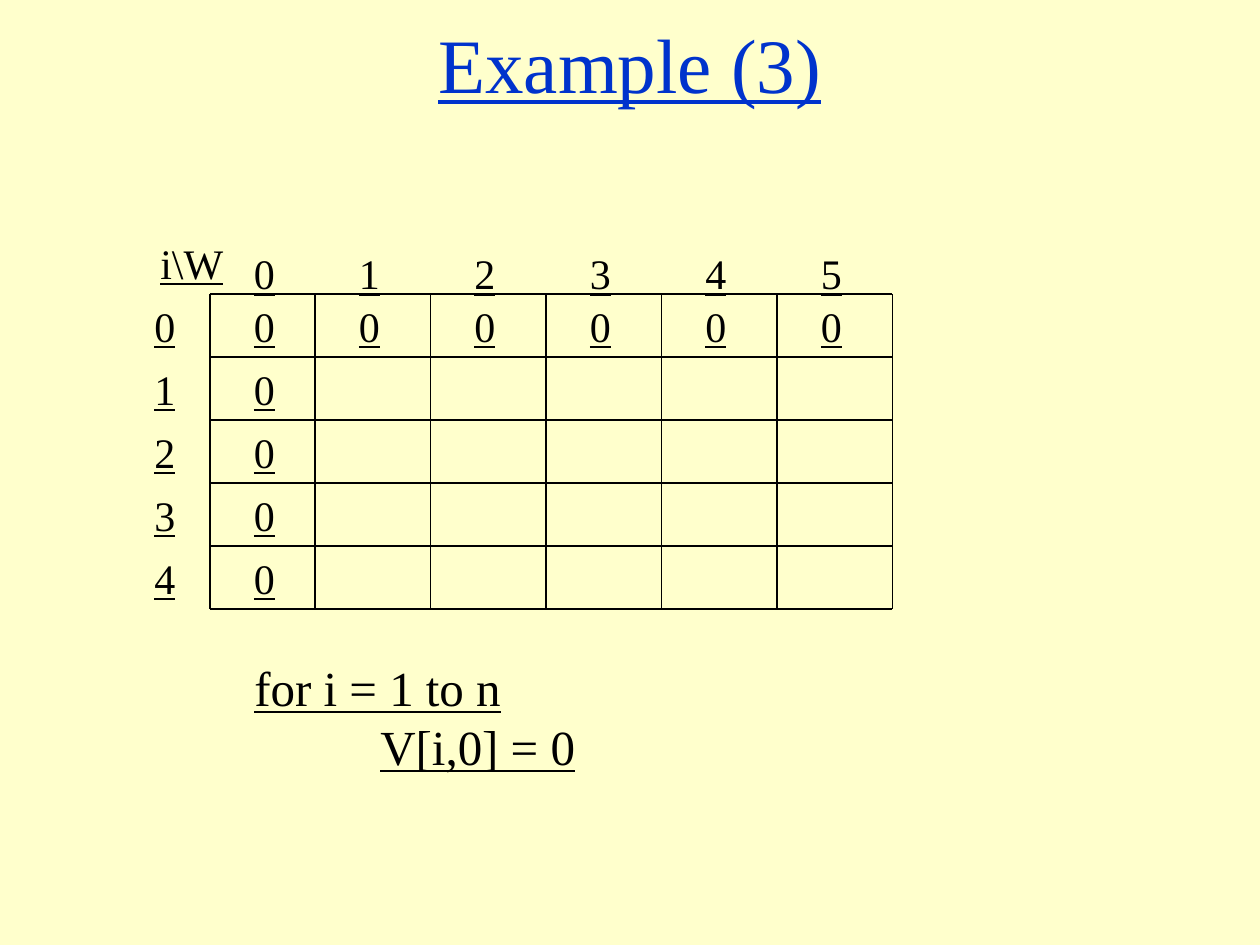
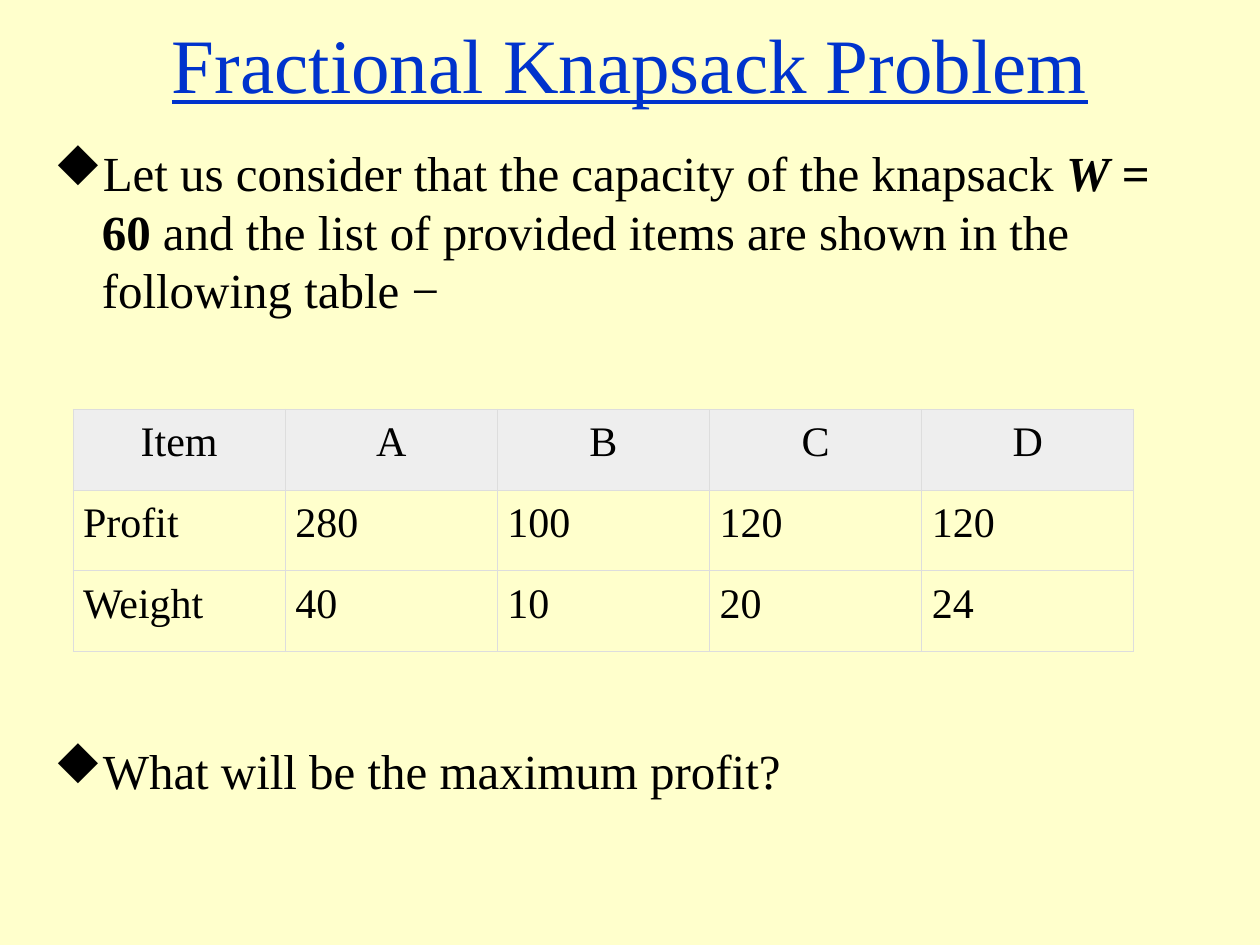
from lxml import etree
from pptx import Presentation
from pptx.dml.color import RGBColor
from pptx.enum.shapes import MSO_CONNECTOR
from pptx.enum.text import MSO_ANCHOR, PP_ALIGN
from pptx.oxml import parse_xml
from pptx.oxml.ns import nsdecls, qn
from pptx.util import Inches, Pt

FONT = "Times New Roman"
PAPER, TITLE_BLUE, INK = "FFFFCC", "0033CC", "000000"
HEADER_GREY, BORDER_GREY = "EEEEEE", "DDDDDD"


def color(code):
    return RGBColor.from_string(code)


def add_span(para, text, size, ink=INK, underline=False, bold=False, italic=False):
    span = para.add_run()
    span.text = text
    font = span.font
    font.name, font.size = FONT, Pt(size)
    font.underline, font.bold, font.italic = underline, bold, italic
    font.color.rgb = color(ink)


def add_frame(page, left, top, width, height, wrap=True):
    """Add an empty text box and return its text frame."""
    box = page.shapes.add_textbox(Inches(left), Inches(top), Inches(width), Inches(height))
    box.text_frame.word_wrap = wrap
    return box.text_frame


def add_page(deck, title):
    """Add a slide with the shared underlined title across the top."""
    page = deck.slides.add_slide(deck.slide_layouts[5])
    box = page.shapes.title
    box.left, box.top, box.width, box.height = 0, 0, deck.slide_width, Inches(1)
    box.text_frame.vertical_anchor = MSO_ANCHOR.MIDDLE
    para = box.text_frame.paragraphs[0]
    para.alignment = PP_ALIGN.CENTER
    add_span(para, title, 44, TITLE_BLUE, underline=True)
    return page


def add_rule(page, x1, y1, x2, y2):
    rule = page.shapes.add_connector(
        MSO_CONNECTOR.STRAIGHT, Inches(x1), Inches(y1), Inches(x2), Inches(y2))
    rule.line.color.rgb = color(INK)
    rule.line.width = Pt(0.75)
    etree.SubElement(rule._element.spPr, qn("a:effectLst"))


def add_digit(page, left, top, digit):
    frame = add_frame(page, left, top, 0.37, 0.5, wrap=False)
    add_span(frame.paragraphs[0], str(digit), 24, underline=True)


def add_value_grid(page, left, top, items=5, weights=6):
    """Draw the ruled grid with its labels, first row and first column filled with 0."""
    first_width, step, row_height = 10 / 12, 11 / 12, 0.5
    columns = [left] + [left + first_width + step * k for k in range(weights)]
    rows = [top + row_height * k for k in range(items + 1)]

    for x in columns:
        add_rule(page, x, rows[0], x, rows[-1])
    for y in rows:
        add_rule(page, columns[0], y, columns[-1], y)

    corner = add_frame(page, left - 0.52, top - 0.5, 0.75, 0.5).paragraphs[0]
    corner.alignment = PP_ALIGN.CENTER
    add_span(corner, "i\\W", 24, underline=True)
    for weight, x in enumerate(columns[:-1]):
        add_digit(page, x + 0.25, top - 5 / 12, weight)
        add_digit(page, x + 0.25, top, 0)
    for item, y in enumerate(rows[:-1]):
        add_digit(page, left - 0.54, y, item)
        if item:
            add_digit(page, left + 0.25, y, 0)


def set_indent(para, left, first_line=0):
    """Set the left margin of a paragraph and return its properties element."""
    props = para._p.get_or_add_pPr()
    props.set("marL", str(Inches(left)))
    props.set("indent", str(Inches(first_line)))
    return props


def add_loop_code(page, left, top, width, height):
    frame = add_frame(page, left, top, width, height)
    loop, body = frame.paragraphs[0], frame.add_paragraph()
    add_span(loop, "for i = 1 to n", 28, underline=True)
    set_indent(body, 1)
    add_span(body, "V[i,0] = 0", 28, underline=True)


def set_bullet(para, indent):
    """Give a paragraph a hanging diamond, which is the letter u in Wingdings."""
    props = set_indent(para, indent, -indent)
    bullet_font = etree.SubElement(props, qn("a:buFont"))
    bullet_font.set("typeface", "Wingdings")
    bullet_font.set("charset", "2")
    etree.SubElement(props, qn("a:buChar")).set("char", "u")


def add_question(page, left, top, width, height):
    """Add the two bullets, leaving room between them for the item table."""
    frame = add_frame(page, left, top, width, height)
    setup, question = frame.paragraphs[0], frame.add_paragraph()
    question.space_before = Pt(241)
    for para in (setup, question):
        set_bullet(para, 0.38)
    add_span(setup, "Let us consider that the capacity of the knapsack ", 28)
    add_span(setup, "W", 28, bold=True, italic=True)
    add_span(setup, " = 60", 28, bold=True)
    add_span(setup, " and the list of provided items are shown in the following table −", 28)
    add_span(question, "What will be the maximum profit?", 28)


def set_borders(cell):
    props = cell._tc.get_or_add_tcPr()
    for index, side in enumerate(("lnL", "lnR", "lnT", "lnB")):
        props.insert(index, parse_xml(
            f'<a:{side} {nsdecls("a")} w="{Pt(0.75)}"><a:solidFill>'
            f'<a:srgbClr val="{BORDER_GREY}"/></a:solidFill></a:{side}>'))


def add_item_table(page, left, top, width, height):
    rows = [
        ("Item", "A", "B", "C", "D"),
        ("Profit", "280", "100", "120", "120"),
        ("Weight", "40", "10", "20", "24"),
    ]
    table = page.shapes.add_table(
        len(rows), len(rows[0]), Inches(left), Inches(top), Inches(width), Inches(height)).table
    table.first_row = table.horz_banding = False
    for r, row in enumerate(rows):
        for c, text in enumerate(row):
            cell = table.cell(r, c)
            cell.margin_left = cell.margin_right = Inches(0.08)
            cell.margin_top = cell.margin_bottom = Inches(0.08)
            para = cell.text_frame.paragraphs[0]
            if r == 0:
                cell.fill.solid()
                cell.fill.fore_color.rgb = color(HEADER_GREY)
                para.alignment = PP_ALIGN.CENTER
            else:
                cell.fill.background()
            set_borders(cell)
            add_span(para, text, 24)


def main():
    deck = Presentation()
    deck.slide_width, deck.slide_height = Inches(10), Inches(7.5)
    backdrop = deck.slide_master.background.fill
    backdrop.solid()
    backdrop.fore_color.rgb = color(PAPER)

    page = add_page(deck, "Example (3)")
    add_value_grid(page, 20 / 12, 28 / 12)
    add_loop_code(page, 1.92, 5.17, 3.75, 1.03)

    page = add_page(deck, "Fractional Knapsack Problem")
    add_question(page, 0.33, 1.08, 9.25, 5.58)
    add_item_table(page, 0.58, 3.25, 8.42, 1.92)

    deck.save("out.pptx")


if __name__ == "__main__":
    main()
